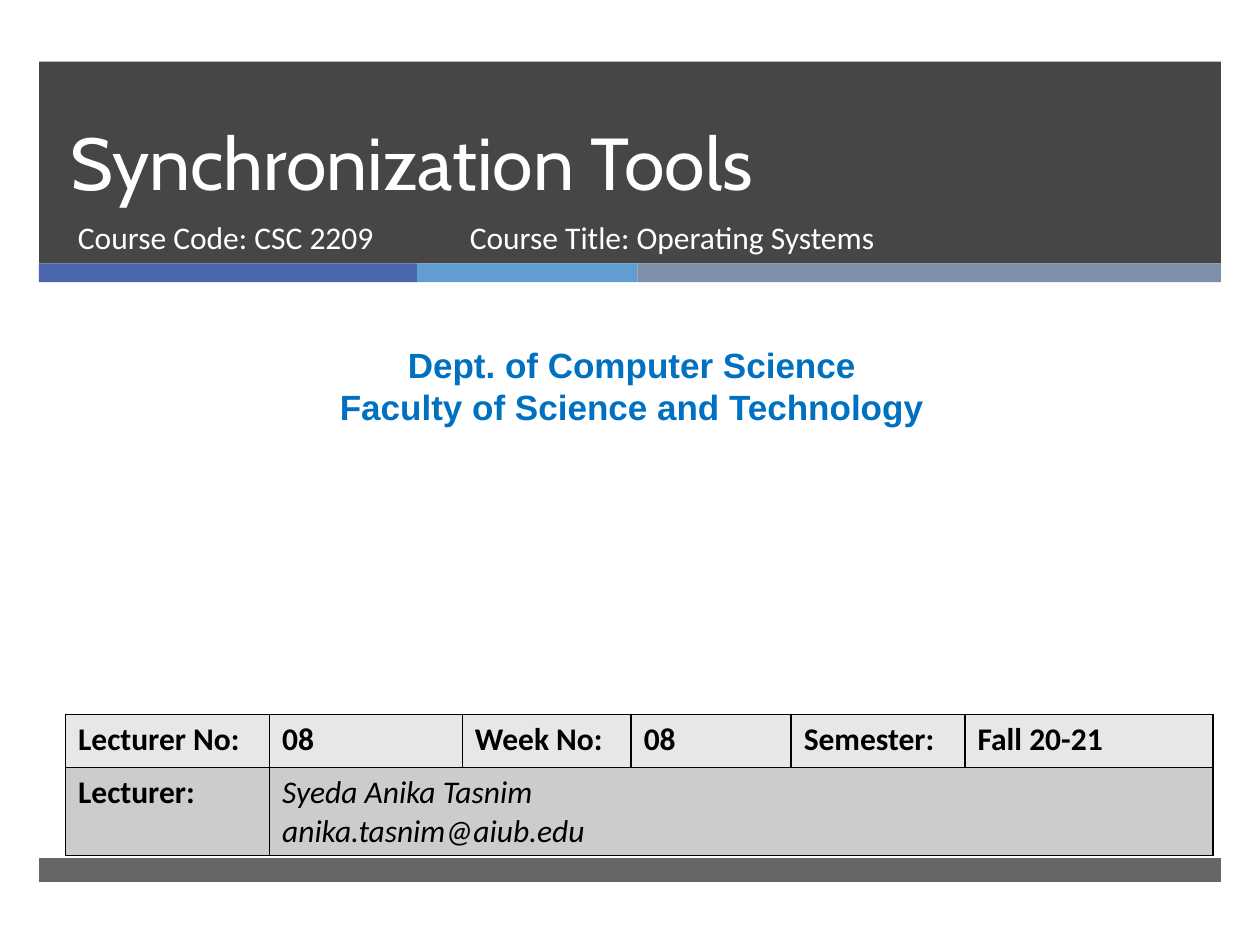
import pptx
import pptx.util
import pptx.dml.color
import pptx.enum.shapes
import pptx.enum.text
import pptx.oxml
import pptx.oxml.ns
from lxml import etree

Inches, Pt = pptx.util.Inches, pptx.util.Pt
ALIGN, ANCHOR = pptx.enum.text.PP_ALIGN, pptx.enum.text.MSO_ANCHOR
A = pptx.oxml.ns.nsdecls("a")


def color(value):
    return pptx.dml.color.RGBColor.from_string(value)


def write(tf, lines, size, name, fill, bold=False, italic=False, align=ALIGN.LEFT):
    tf.word_wrap = True
    for i, line in enumerate(lines):
        p = tf.paragraphs[0] if i == 0 else tf.add_paragraph()
        p.text = line
        p.alignment = align
        p.font.size = Pt(size)
        p.font.name = name
        p.font.bold = bold
        p.font.italic = italic
        p.font.color.rgb = color(fill)


prs = pptx.Presentation()
prs.slide_width, prs.slide_height = Inches(10), Inches(7.5)
s = prs.slides.add_slide(prs.slide_layouts[6])

# Header band, three-colour stripe and footer band: box, fill, opacity in percent
bands = [
    (0.31, 0.49, 9.38, 1.6, "262626", 85),
    (0.31, 2.09, 3, 0.15, "4A66AC", 100),
    (3.31, 2.09, 1.75, 0.15, "629DD1", 100),
    (5.06, 2.09, 4.63, 0.15, "7F8FA9", 100),
    (0.31, 6.81, 9.38, 0.19, "262626", 70),
]
for x, y, w, h, fill, opacity in bands:
    sp = s.shapes.add_shape(pptx.enum.shapes.MSO_SHAPE.RECTANGLE,
                            Inches(x), Inches(y), Inches(w), Inches(h))
    sp.shadow.inherit = False
    sp.line.fill.background()
    sp.fill.solid()
    sp.fill.fore_color.rgb = color(fill)
    if opacity < 100:
        rgb = sp.fill._xPr.find(".//" + pptx.oxml.ns.qn("a:srgbClr"))
        etree.SubElement(rgb, pptx.oxml.ns.qn("a:alpha"), val=str(opacity * 1000))

# Title
sp = s.shapes.add_textbox(Inches(0.46), Inches(0.49), Inches(8.54), Inches(1.19))
tf = sp.text_frame
tf.vertical_anchor = ANCHOR.BOTTOM
write(tf, ["Synchronization Tools"], 42, "Cabin", "FFFFFF")
tf.paragraphs[0].line_spacing = Pt(46)

# Course code and course title
for x, w, text in [(0.52, 3.05, "Course Code: CSC 2209"),
                   (3.63, 4.55, "Course Title: Operating Systems")]:
    sp = s.shapes.add_textbox(Inches(x), Inches(1.68), Inches(w), Inches(0.53))
    write(sp.text_frame, [text], 18, "Calibri", "FFFFFF")

# Department
sp = s.shapes.add_textbox(Inches(0.08), Inches(2.68), Inches(9.87), Inches(0.77))
write(sp.text_frame, ["Dept. of Computer Science", "Faculty of Science and Technology"],
      20, "Arial", "0070C0", bold=True, align=ALIGN.CENTER)

# Lecture details table
widths = [1.62, 1.53, 1.34, 1.27, 1.38, 1.97]
heights = [0.42, 0.69]
rows = [
    [["Lecturer No:"], ["08"], ["Week No:"], ["08"], ["Semester:"], ["Fall 20-21"]],
    [["Lecturer:"], ["Syeda Anika Tasnim", "anika.tasnim@aiub.edu"]],
]
table = s.shapes.add_table(2, 6, Inches(0.52), Inches(5.67),
                           Inches(sum(widths)), Inches(sum(heights))).table
for column, w in zip(table.columns, widths):
    column.width = Inches(w)
for row, h in zip(table.rows, heights):
    row.height = Inches(h)
table.cell(1, 1).merge(table.cell(1, 5))

for r, fill in enumerate(["E7E7E7", "CCCCCC"]):
    for c in range(len(widths)):
        cell = table.cell(r, c)
        if c < len(rows[r]):
            italic = (r, c) == (1, 1)
            write(cell.text_frame, rows[r][c], 18, "Calibri", "000000",
                  bold=not italic, italic=italic)
        # Borders come before the fill in the cell properties
        tcPr = cell._tc.get_or_add_tcPr()
        for side in ("lnL", "lnR", "lnT", "lnB"):
            tcPr.append(pptx.oxml.parse_xml(
                f'<a:{side} {A} w="12700"><a:solidFill><a:srgbClr val="000000"/>'
                f'</a:solidFill></a:{side}>'))
        cell.fill.solid()
        cell.fill.fore_color.rgb = color(fill)

prs.save("out.pptx")
